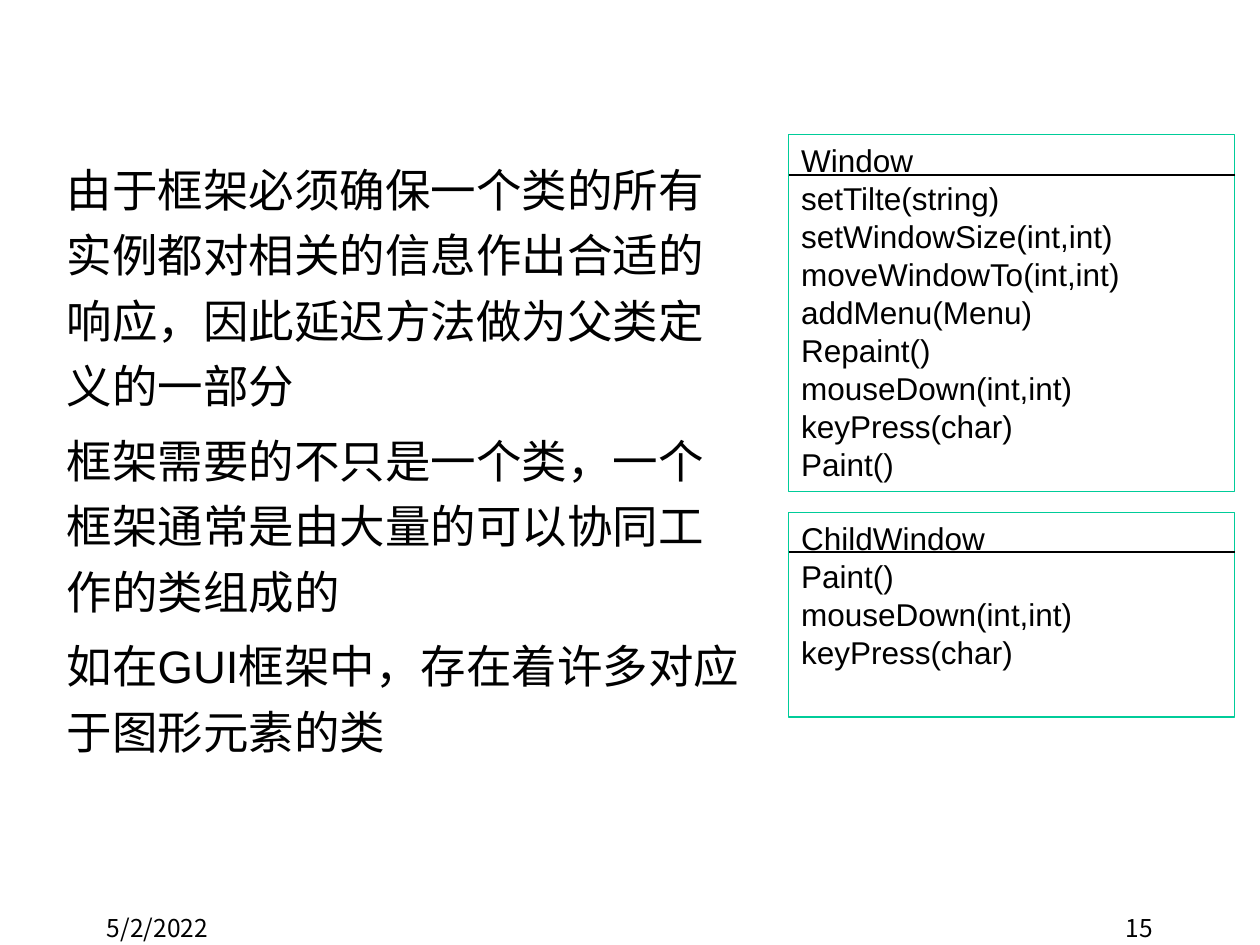
from dataclasses import dataclass

from lxml import etree
from pptx import Presentation, util as u
from pptx.dml.color import RGBColor
from pptx.enum import lang, shapes, text
from pptx.oxml import ns


@dataclass(frozen=True)
class Theme:
    ink: RGBColor = RGBColor(0x00, 0x00, 0x00)
    border: RGBColor = RGBColor(0x00, 0xCC, 0x99)
    body_font: str = "Arial"
    footer_font: str = "Noto Sans CJK KR"
    body_size: float = 26
    class_size: float = 18
    footer_size: float = 14
    body_pitch: float = 37.4
    class_pitch: float = 21.7
    body_gap: float = 5.2
    line_width: float = 0.75


@dataclass(frozen=True)
class ClassBox:
    top: float
    height: float
    divider: float
    name: str
    methods: tuple[str, ...]


THEME = Theme()
CLASS_LEFT, CLASS_WIDTH = 6.26, 3.54
FOOTER_TOP, FOOTER_WIDTH, FOOTER_HEIGHT = 7.22, 2.08, 0.28

BODY = (
    "由于框架必须确保一个类的所有实例都对相关的信息作出合适的响应，因此延迟方法做为父类定义的一部分",
    "框架需要的不只是一个类，一个框架通常是由大量的可以协同工作的类组成的",
    "如在GUI框架中，存在着许多对应于图形元素的类",
)
CLASSES = (
    ClassBox(1.07, 2.83, 1.39, "Window", (
        "setTilte(string)", "setWindowSize(int,int)", "moveWindowTo(int,int)",
        "addMenu(Menu)", "Repaint()", "mouseDown(int,int)", "keyPress(char)", "Paint()",
    )),
    ClassBox(4.07, 1.62, 4.38, "ChildWindow", (
        "Paint()", "mouseDown(int,int)", "keyPress(char)",
    )),
)


def write(tf, lines: tuple[str, ...], size: float, font: str,
          pitch: float | None = None, gap: float = 0,
          align=text.PP_ALIGN.LEFT) -> None:
    tf.word_wrap = True
    for i, line in enumerate(lines):
        p = tf.add_paragraph() if i else tf.paragraphs[0]
        p.alignment = align
        if pitch:
            p.line_spacing = u.Pt(pitch)
        p.space_before = u.Pt(gap if i else 0)
        r = p.add_run()
        r.text = line
        r.font.size = u.Pt(size)
        r.font.name = font
        r.font.color.rgb = THEME.ink
        r.font.language_id = lang.MSO_LANGUAGE_ID.SIMPLIFIED_CHINESE
        latin = r.font._element.find(ns.qn("a:latin"))
        ea = etree.Element(ns.qn("a:ea"), typeface=font)
        latin.addnext(ea)


def add_body(s) -> None:
    sp = s.shapes.add_textbox(u.Inches(0.43), u.Inches(1.15), u.Inches(5.59), u.Inches(5.77))
    write(sp.text_frame, BODY, THEME.body_size, THEME.body_font,
          THEME.body_pitch, THEME.body_gap)


def add_footer(s, left: float, label: str, align) -> None:
    sp = s.shapes.add_textbox(u.Inches(left), u.Inches(FOOTER_TOP),
                              u.Inches(FOOTER_WIDTH), u.Inches(FOOTER_HEIGHT))
    tf = sp.text_frame
    tf.vertical_anchor = text.MSO_ANCHOR.MIDDLE
    write(tf, (label,), THEME.footer_size, THEME.footer_font, align=align)


def add_class(s, box: ClassBox) -> None:
    sp = s.shapes.add_shape(shapes.MSO_SHAPE.RECTANGLE, u.Inches(CLASS_LEFT), u.Inches(box.top),
                            u.Inches(CLASS_WIDTH), u.Inches(box.height))
    sp.shadow.inherit = False
    sp.fill.background()
    sp.line.color.rgb = THEME.border
    sp.line.width = u.Pt(THEME.line_width)
    tf = sp.text_frame
    tf.vertical_anchor = text.MSO_ANCHOR.TOP
    tf.auto_size = text.MSO_AUTO_SIZE.SHAPE_TO_FIT_TEXT
    write(tf, (box.name, *box.methods), THEME.class_size, THEME.body_font, THEME.class_pitch)

    y = u.Inches(box.divider)
    cx = s.shapes.add_connector(shapes.MSO_CONNECTOR.STRAIGHT, u.Inches(CLASS_LEFT), y,
                                u.Inches(CLASS_LEFT + CLASS_WIDTH), y)
    cx.line.color.rgb = THEME.ink
    cx.line.width = u.Pt(THEME.line_width)
    etree.SubElement(cx._element.spPr, ns.qn("a:effectLst"))


def main() -> None:
    """Build the slide on framework classes and save it."""
    prs = Presentation()
    prs.slide_width, prs.slide_height = u.Inches(10), u.Inches(7.5)
    s = prs.slides.add_slide(prs.slide_layouts[6])
    add_body(s)
    add_footer(s, 0.75, "5/2/2022", text.PP_ALIGN.LEFT)
    add_footer(s, 7.17, "15", text.PP_ALIGN.RIGHT)
    for box in CLASSES:
        add_class(s, box)
    prs.save("out.pptx")


if __name__ == "__main__":
    main()
